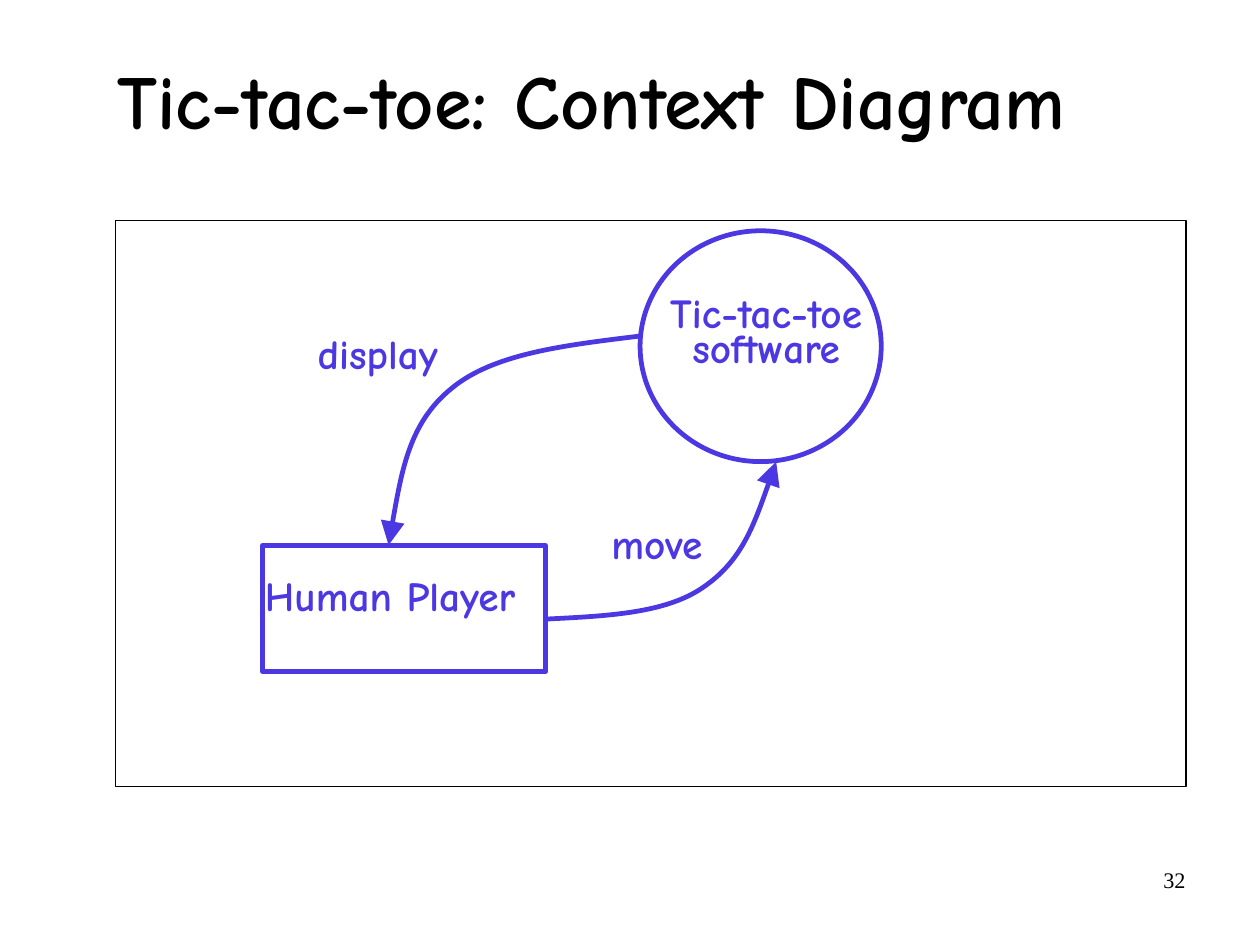
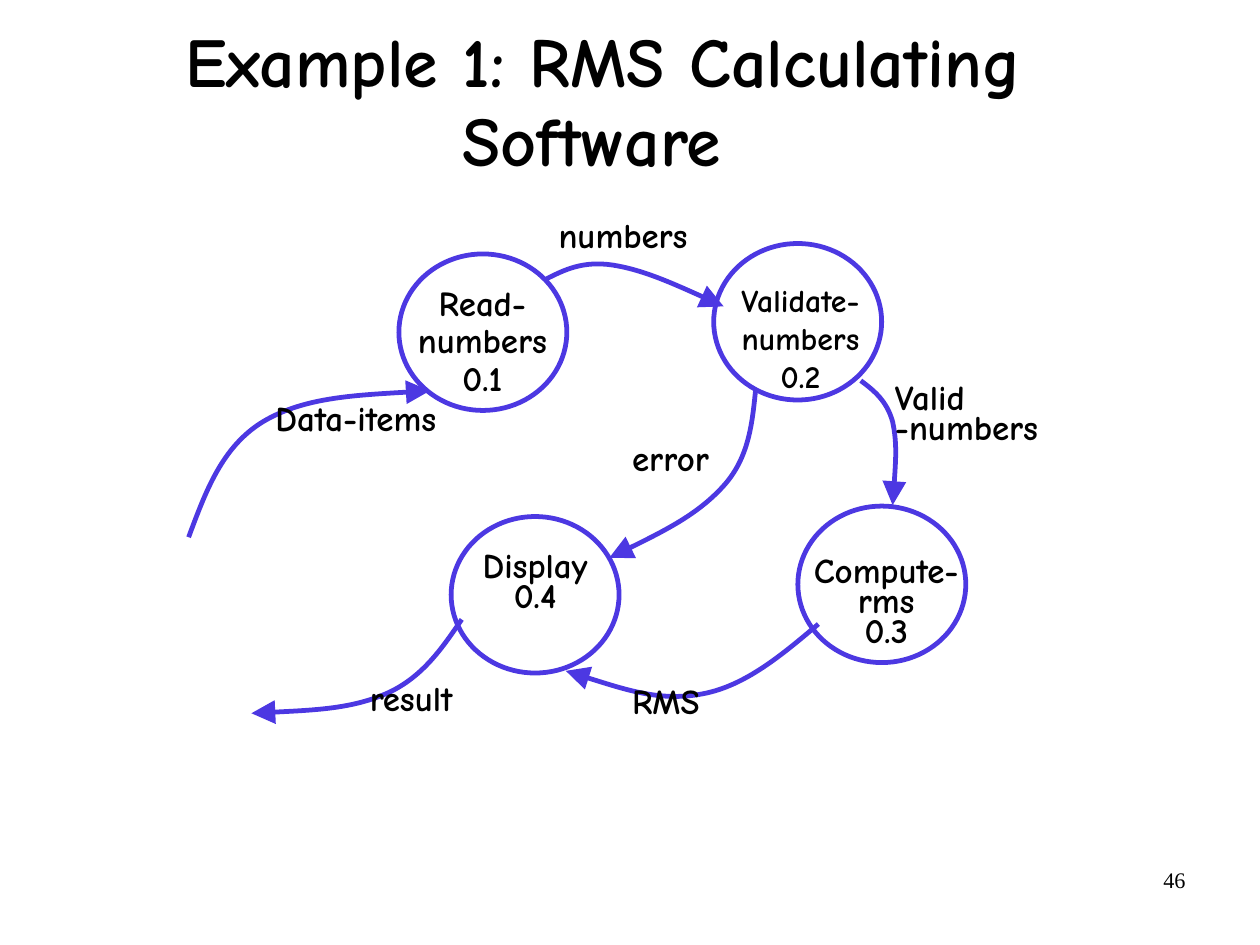
from lxml import etree
from pptx import Presentation
from pptx.dml.color import RGBColor
from pptx.enum import shapes, text
from pptx.oxml.ns import qn
from pptx.util import Pt

BLACK = RGBColor(0x00, 0x00, 0x00)
VIOLET = RGBColor(0x4C, 0x38, 0xE2)
HEADING_FONT = "Comic Neue"
NUMBER_FONT = "Times New Roman"
SLIDE_SIZE = (793.7, 595.28)
TITLE_FRAME = (35.3, 15.8, 674.6, 98.6)
NUMBER_FRAME = (569, 542, 185, 41)
LEFT, CENTER, RIGHT = text.PP_ALIGN.LEFT, text.PP_ALIGN.CENTER, text.PP_ALIGN.RIGHT
RECTANGLE, OVAL = shapes.MSO_SHAPE.RECTANGLE, shapes.MSO_SHAPE.OVAL
CIRCLE = (105.8, 98.6)

# Outlines: preset, frame, colour, line width
# Labels: text, frame, alignment, line spacing, size
# Arrows: start point, then three points for each curve segment
SLIDES = [
    {
        "title": "Tic-tac-toe: Context Diagram", "title_size": 48, "indent": 0,
        "number": "32", "label_color": VIOLET,
        "outlines": [
            (RECTANGLE, (72.7, 138.8, 674.4, 356.8), BLACK, 0.75),
            (OVAL, (403.2, 145.4, 151.9, 145.4), VIOLET, 3),
            (RECTANGLE, (165.4, 343.8, 178.4, 79.2), VIOLET, 3),
        ],
        "labels": [
            ("Human Player", (165.4, 363.4, 185, 39.6), LEFT, 0.72, 26),
            ("Tic-tac-toe software", (410, 185, 145.4, 71.3), CENTER, 0.72, 26),
            ("display", (198.5, 211.2, 118.8, 39.6), LEFT, 0.72, 26),
            ("move", (383.6, 330.5, 139, 39.6), LEFT, 0.72, 26),
        ],
        "arrows": [
            [(403.2, 211.7), (357.1, 217.4), (311, 222.5), (284.4, 244.8),
             (257.8, 266.4), (251.3, 305.3), (244.8, 343.4)],
            [(344.2, 390), (381.6, 388.1), (419, 386.6), (442.8, 370.1),
             (467.3, 353.5), (478.1, 322.6), (488.9, 290.9)],
        ],
    },
    {
        "title": "Example 1: RMS Calculating Software", "title_size": 44, "indent": 15,
        "number": "46", "label_color": BLACK,
        "outlines": [
            (OVAL, (left, top, *CIRCLE), VIOLET, 3)
            for left, top in [(251.3, 160), (284.2, 325.4), (449.6, 153.4), (502.6, 318.8)]
        ],
        "labels": [
            ("Read-numbers\v0.1", (251, 176.4, 105.8, 87), CENTER, 0.9, 22),
            ("Validate-numbers\v0.2", (451.4, 172.8, 105.8, 110), CENTER, 1.0, 20),
            ("Compute-rms\v0.3", (505.4, 348.4, 105.8, 87), CENTER, 0.72, 22),
            ("Display\v0.4", (284.2, 345.2, 105.8, 60), CENTER, 0.72, 22),
            ("Data-items", (172, 252.6, 105.8, 60), LEFT, 0.72, 22),
            ("numbers", (350.4, 137.5, 105.8, 34), LEFT, 0.72, 22),
            ("Valid -numbers", (562.2, 239.4, 105.8, 85), LEFT, 0.72, 22),
            ("error", (396.7, 277.9, 105.8, 34), LEFT, 0.72, 22),
            ("RMS", (396.7, 431.3, 79.2, 34), LEFT, 0.72, 22),
            ("result", (231.5, 429.5, 79.2, 34), LEFT, 0.72, 22),
        ],
        "arrows": [
            [(118.8, 338.4), (129.6, 309.6), (139.7, 281.5), (165.6, 265.7),
             (190.8, 250.6), (230.4, 248.4), (270.7, 246.2)],
            [(344.2, 175.7), (355.7, 169.9), (367.2, 164.2), (385.9, 167),
             (404.6, 169.9), (430.6, 181.4), (455.8, 193)],
            [(542.2, 239.8), (550.8, 246.2), (558.7, 252.7), (562.3, 265.7),
             (565.2, 279.4), (563.8, 298.8), (562.3, 318.2)],
            [(515.5, 393.1), (492.5, 412.6), (469.4, 432), (442.8, 437),
             (416.2, 442.1), (385.9, 432), (356.4, 422.6)],
            [(290.9, 390.2), (278.6, 408.2), (266.4, 426.2), (244.8, 436.3),
             (222.5, 446.4), (190.8, 447.8), (158.4, 449.3)],
            [(475.9, 246.2), (473.8, 267.1), (471.6, 288), (456.5, 305.3),
             (440.6, 323.3), (412.6, 337.7), (383.8, 351.4)],
        ],
    },
]


def points(values):
    return [Pt(value) for value in values]


def write(shape, content, alignment, spacing, size, color,
          font=HEADING_FONT, bold=True, insets=(1.5, 3.8)):
    """Fill a shape with one formatted paragraph and return it."""
    frame = shape.text_frame
    frame.text = content
    frame.word_wrap = True
    frame.auto_size = text.MSO_AUTO_SIZE.NONE
    frame.margin_left = frame.margin_right = Pt(insets[0])
    frame.margin_top = frame.margin_bottom = Pt(insets[1])
    paragraph = frame.paragraphs[0]
    paragraph.alignment = alignment
    paragraph.line_spacing = spacing
    paragraph.space_before = Pt(0)
    for run in paragraph.runs:
        run.font.name = font
        run.font.size = Pt(size)
        run.font.bold = bold
        run.font.color.rgb = color
    return paragraph


def add_title(slide, data):
    title = slide.shapes.title
    title.left, title.top, title.width, title.height = points(TITLE_FRAME)
    paragraph = write(title, data["title"], CENTER, 0.94, data["title_size"], BLACK)
    title.text_frame.vertical_anchor = text.MSO_ANCHOR.MIDDLE
    paragraph._p.get_or_add_pPr().set("indent", str(Pt(data["indent"])))


def style_outline(shape, color, width):
    shape.shadow.inherit = False
    shape.fill.background()
    shape.line.color.rgb = color
    shape.line.width = Pt(width)


def add_curved_arrow(slide, curve):
    corners = [points(point) for point in curve]
    builder = slide.shapes.build_freeform(*corners[0])
    builder.add_line_segments(corners[1:], close=False)
    arrow = builder.convert_to_shape()
    style_outline(arrow, VIOLET, 3)

    # Every three straight segments become one Bezier segment
    outline = next(arrow._element.iter(qn("a:path")))
    segments = outline.findall(qn("a:lnTo"))
    for start in range(0, len(segments), 3):
        bezier = etree.SubElement(outline, qn("a:cubicBezTo"))
        for segment in segments[start:start + 3]:
            bezier.append(segment[0])
            outline.remove(segment)

    line = arrow.line._get_or_add_ln()
    etree.SubElement(line, qn("a:tailEnd"), type="triangle", w="lg", len="lg")


def add_diagram_slide(presentation, data):
    slide = presentation.slides.add_slide(presentation.slide_layouts[5])
    add_title(slide, data)
    for preset, frame, color, width in data["outlines"]:
        style_outline(slide.shapes.add_shape(preset, *points(frame)), color, width)
    for curve in data["arrows"]:
        add_curved_arrow(slide, curve)
    for content, frame, alignment, spacing, size in data["labels"]:
        label = slide.shapes.add_textbox(*points(frame))
        write(label, content, alignment, spacing, size, data["label_color"])
    number = slide.shapes.add_textbox(*points(NUMBER_FRAME))
    write(number, data["number"], RIGHT, 1.0, 14, BLACK,
          font=NUMBER_FONT, bold=False, insets=(7.2, 3.6))


def main():
    presentation = Presentation()
    presentation.slide_width, presentation.slide_height = points(SLIDE_SIZE)
    for data in SLIDES:
        add_diagram_slide(presentation, data)
    presentation.save("out.pptx")


if __name__ == "__main__":
    main()
